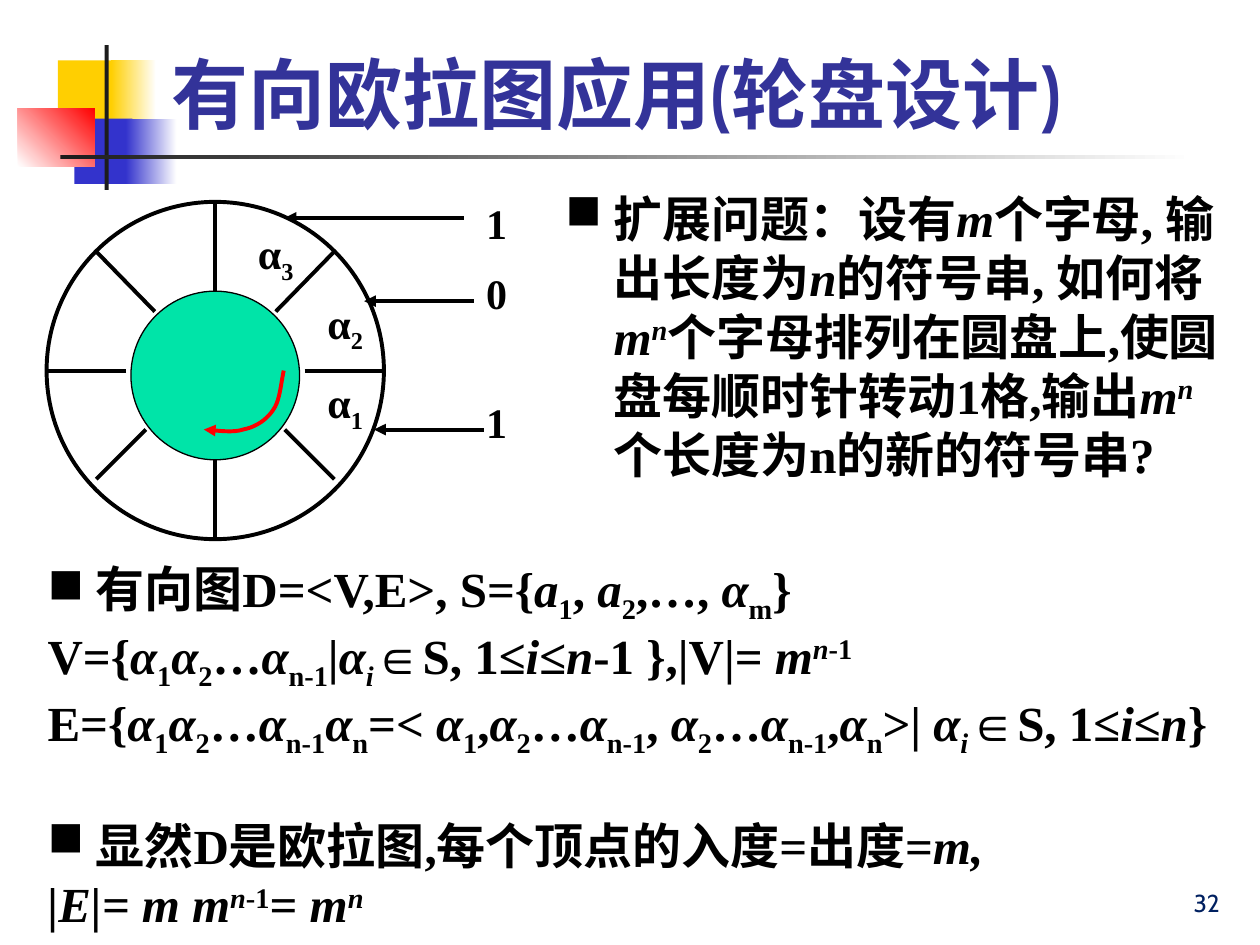
from dataclasses import dataclass

from lxml.etree import SubElement
from pptx import Presentation
from pptx.dml.color import RGBColor
from pptx.enum.shapes import MSO_CONNECTOR, MSO_SHAPE
from pptx.enum.text import MSO_ANCHOR, PP_ALIGN
from pptx.oxml.ns import qn
from pptx.util import Cm, Pt


@dataclass(frozen=True)
class Theme:
    serif: str = "Times New Roman"
    sans: str = "Cabin"
    ink: str = "000000"
    title: str = "333399"
    number: str = "002060"
    yellow: str = "FFCF01"
    blue: str = "3333CC"
    red: str = "FF0000"
    rule: str = "1C1C1C"
    white: str = "FFFFFF"
    hub: str = "00E4A8"
    title_size: int = 44
    body_size: int = 28
    label_size: int = 24
    number_size: int = 14
    line: float = 2.25
    thin: float = 0.75


THEME = Theme()


def sub(letter, index, style="_"):
    return [(letter, "i"), (index, style)]


# Span styles: i = italic, _ = subscript, ^ = superscript
A1, A2, AN1, AN = (sub("α", index) for index in ("1", "2", "n-1", "n"))
AI = sub("α", "i", "i_")
POWER = [("m", "i"), ("n", "i^")]
DOTS = [("…", "")]
COMMA = [(",", "")]
SPACE = [(" ", "i")]

TITLE = [("有向欧拉图应用(轮盘设计)", "")]
NUMBER = [("32", "")]
QUESTION = [
    ("扩展问题：设有", ""), ("m", "i"), ("个字母, 输出长度为", ""), ("n", "i"),
    ("的符号串, 如何将", ""), *POWER,
    ("个字母排列在圆盘上,使圆盘每顺时针转动1格,输出", ""), *POWER,
    ("个长度为n的新的符号串?", ""),
]
# (bulleted, space before in points, spans)
SOLUTION = [
    (True, 0, [("有向图D=<V,E>, S={", ""), *sub("a", "1"), *COMMA, *sub(" a", "2"),
               (",…, ", ""), *sub("α", "m"), ("}", "")]),
    (False, 0, [("V={", ""), *A1, *A2, *DOTS, *AN1, ("|", ""), *AI, ("∈S, 1≤", ""),
                ("i", "i"), ("≤", ""), ("n", "i"), ("-1 },|V|=", ""), (" m", "i"),
                ("n", "i^"), ("-1", "^")]),
    (False, 0, [("E={", ""), *A1, *A2, *DOTS, *AN1, *AN, ("=<", ""), *SPACE, *A1, *COMMA,
                *A2, *DOTS, *AN1, *COMMA, *SPACE, *A2, *DOTS, *AN1, *COMMA, *AN,
                (">|", ""), *SPACE, *AI, ("∈S, 1≤", ""), ("i", "i"), ("≤", ""),
                ("n", "i"), ("}", "")]),
    (True, 32, [("显然D是欧拉图,每个顶点的入度=出度=", ""), ("m,", "i")]),
    (False, 0, [("|E|= m m", "i"), ("n", "i^"), ("-1", "^"), ("=", ""), (" m", "i"),
                ("n", "i^")]),
]

# left, top, width, height in cm; colours from start to end; angle
ORNAMENTS = [
    (1.17, 1.22, 1.22, 1.32, [THEME.yellow], 0),
    (2.24, 1.22, 0.91, 1.32, [THEME.yellow, THEME.white], 0),
    (1.5, 2.39, 1.17, 1.32, [THEME.blue], 0),
    (2.54, 2.39, 1.02, 1.32, [THEME.blue, THEME.white], 0),
    (0.36, 2.18, 1.55, 1.17, [THEME.white, THEME.red], 45),
    (2.11, 0.91, 0.08, 2.92, [THEME.rule], 0),
    (1.22, 3.12, 22.86, 0.08, [THEME.rule, THEME.white], 0),
]

CENTER_X, CENTER_Y, RADIUS = 4.34, 7.47, 3.4
HUB_Y, HUB_RADIUS = 7.57, 1.7
# Spokes as offsets from the centre: inner x, y, outer x, y
UPRIGHT_SPOKES = [(0, -1.6, 0, -RADIUS), (0, 1.8, 0, RADIUS)]
SIDE_SPOKES = [(1.8, 0, RADIUS, 0), (1.22, -1.19, 2.41, -2.41), (1.4, 1.19, 2.4, 2.19)]
SECTOR_LABELS = [("2", 6.35, 5.87), ("3", 4.95, 4.47), ("1", 6.35, 7.47)]
OUTPUT_LABELS = [("1", 3.86), ("0", 5.26), ("1", 7.87)]
OUTPUT_ARROWS = [(9.35, 5.74, 4.39), (9.55, 7.34, 6.07), (9.75, 7.54, 8.66)]
TURN_START = (5.72, 7.47)
TURN_CURVES = [
    ((5.66, 7.77), (5.64, 8.08), (5.51, 8.26)),
    ((5.38, 8.46), (5.16, 8.61), (4.9, 8.66)),
    ((4.67, 8.74), (4.24, 8.66), (4.11, 8.66)),
]


def color(code):
    return RGBColor.from_string(code)


def add_preset(page, kind, left, top, width, height):
    shape = page.shapes.add_shape(kind, Cm(left), Cm(top), Cm(width), Cm(height))
    shape.shadow.inherit = False
    shape.line.fill.background()
    return shape


def fill_with(shape, colors, angle=0):
    if len(colors) == 1:
        shape.fill.solid()
        shape.fill.fore_color.rgb = color(colors[0])
        return
    shape.fill.gradient()
    shape.fill.gradient_angle = angle
    for stop, code, position in zip(shape.fill.gradient_stops, colors, (0, 1)):
        stop.color.rgb = color(code)
        stop.position = position


def set_line(shape, code, width, arrow=False):
    shape.line.color.rgb = color(code)
    shape.line.width = Pt(width)
    if arrow:
        SubElement(shape.line._get_or_add_ln(), qn("a:tailEnd"), type="triangle")


def add_circle(page, center_x, center_y, radius, width):
    circle = add_preset(page, MSO_SHAPE.OVAL, center_x - radius, center_y - radius,
                        2 * radius, 2 * radius)
    circle.fill.background()
    set_line(circle, THEME.ink, width)
    return circle


def add_line(page, x1, y1, x2, y2, arrow=False):
    line = page.shapes.add_connector(MSO_CONNECTOR.STRAIGHT, Cm(x1), Cm(y1), Cm(x2), Cm(y2))
    set_line(line, THEME.ink, THEME.line, arrow)
    SubElement(line._element.spPr, qn("a:effectLst"))


def add_box(page, left, top, width, height, wrap=True, anchor=MSO_ANCHOR.TOP):
    box = page.shapes.add_textbox(Cm(left), Cm(top), Cm(width), Cm(height))
    frame = box.text_frame
    frame.word_wrap = wrap
    frame.vertical_anchor = anchor
    return frame


def add_spans(para, spans, size, font=THEME.serif, code=THEME.ink, bold=True):
    for text, style in spans:
        span = para.add_run()
        span.text = text
        span.font.name, span.font.size, span.font.bold = font, Pt(size), bold
        span.font.color.rgb = color(code)
        if "i" in style:
            span.font.italic = True
        if "_" in style or "^" in style:
            span.font._element.set("baseline", "-25000" if "_" in style else "30000")


def hang(para, bulleted):
    """Give the paragraph a hanging indent, with a square bullet if asked."""
    properties = para._p.get_or_add_pPr()
    properties.set("marL", str(Cm(0.97)))
    properties.set("indent", str(-Cm(0.97)))
    if bulleted:
        SubElement(properties, qn("a:buChar"), char="■")
    else:
        SubElement(properties, qn("a:buNone"))


def curve_points(start, curves, steps=10):
    """Points along a chain of cubic Bezier curves."""
    for first, second, end in curves:
        for step in range(1, steps + 1):
            t = step / steps
            u = 1 - t
            yield tuple(Cm(u**3 * a + 3 * u * u * t * b + 3 * u * t * t * c + t**3 * d)
                        for a, b, c, d in zip(start, first, second, end))
        start = end


def draw_wheel(page):
    add_circle(page, CENTER_X, CENTER_Y, RADIUS, THEME.line)
    fill_with(add_circle(page, CENTER_X, HUB_Y, HUB_RADIUS, THEME.thin), [THEME.hub])

    builder = page.shapes.build_freeform(Cm(TURN_START[0]), Cm(TURN_START[1]))
    builder.add_line_segments(curve_points(TURN_START, TURN_CURVES), close=False)
    turn = builder.convert_to_shape()
    turn.shadow.inherit = False
    turn.fill.background()
    set_line(turn, THEME.red, THEME.line, arrow=True)

    mirrored = [(side * x1, y1, side * x2, y2)
                for x1, y1, x2, y2 in SIDE_SPOKES for side in (1, -1)]
    for x1, y1, x2, y2 in UPRIGHT_SPOKES + mirrored:
        add_line(page, CENTER_X + x1, CENTER_Y + y1, CENTER_X + x2, CENTER_Y + y2)
    for x1, x2, y in OUTPUT_ARROWS:
        add_line(page, x1, y, x2, y, arrow=True)
    labels = [([("α", ""), (index, "_")], x, y, 1.27) for index, x, y in SECTOR_LABELS]
    labels += [([(digit, "")], 9.55, y, 0.94) for digit, y in OUTPUT_LABELS]
    for spans, x, y, width in labels:
        frame = add_box(page, x, y, width, 1.28, wrap=False)
        add_spans(frame.paragraphs[0], spans, THEME.label_size)


def main():
    deck = Presentation()
    deck.slide_width, deck.slide_height = Cm(25.4), Cm(19.05)
    page = deck.slides.add_slide(deck.slide_layouts[6])

    for left, top, width, height, colors, angle in ORNAMENTS:
        fill_with(add_preset(page, MSO_SHAPE.RECTANGLE, left, top, width, height), colors, angle)

    frame = add_box(page, 3.2, 0.2, 21.64, 2.72, anchor=MSO_ANCHOR.BOTTOM)
    add_spans(frame.paragraphs[0], TITLE, THEME.title_size, THEME.sans, THEME.title)

    para = add_box(page, 11.15, 3.68, 13.69, 5.99).paragraphs[0]
    hang(para, True)
    add_spans(para, QUESTION, THEME.body_size)

    draw_wheel(page)

    frame = add_box(page, 0.71, 11.13, 23.9, 6.91)
    for position, (bulleted, gap, spans) in enumerate(SOLUTION):
        para = frame.add_paragraph() if position else frame.paragraphs[0]
        hang(para, bulleted)
        if gap:
            para.space_before = Pt(gap)
        add_spans(para, spans, THEME.body_size)

    para = add_box(page, 19.56, 17.35, 5.28, 1.27, anchor=MSO_ANCHOR.BOTTOM).paragraphs[0]
    para.alignment = PP_ALIGN.RIGHT
    add_spans(para, NUMBER, THEME.number_size, THEME.sans, THEME.number, bold=False)

    deck.save("out.pptx")


if __name__ == "__main__":
    main()
